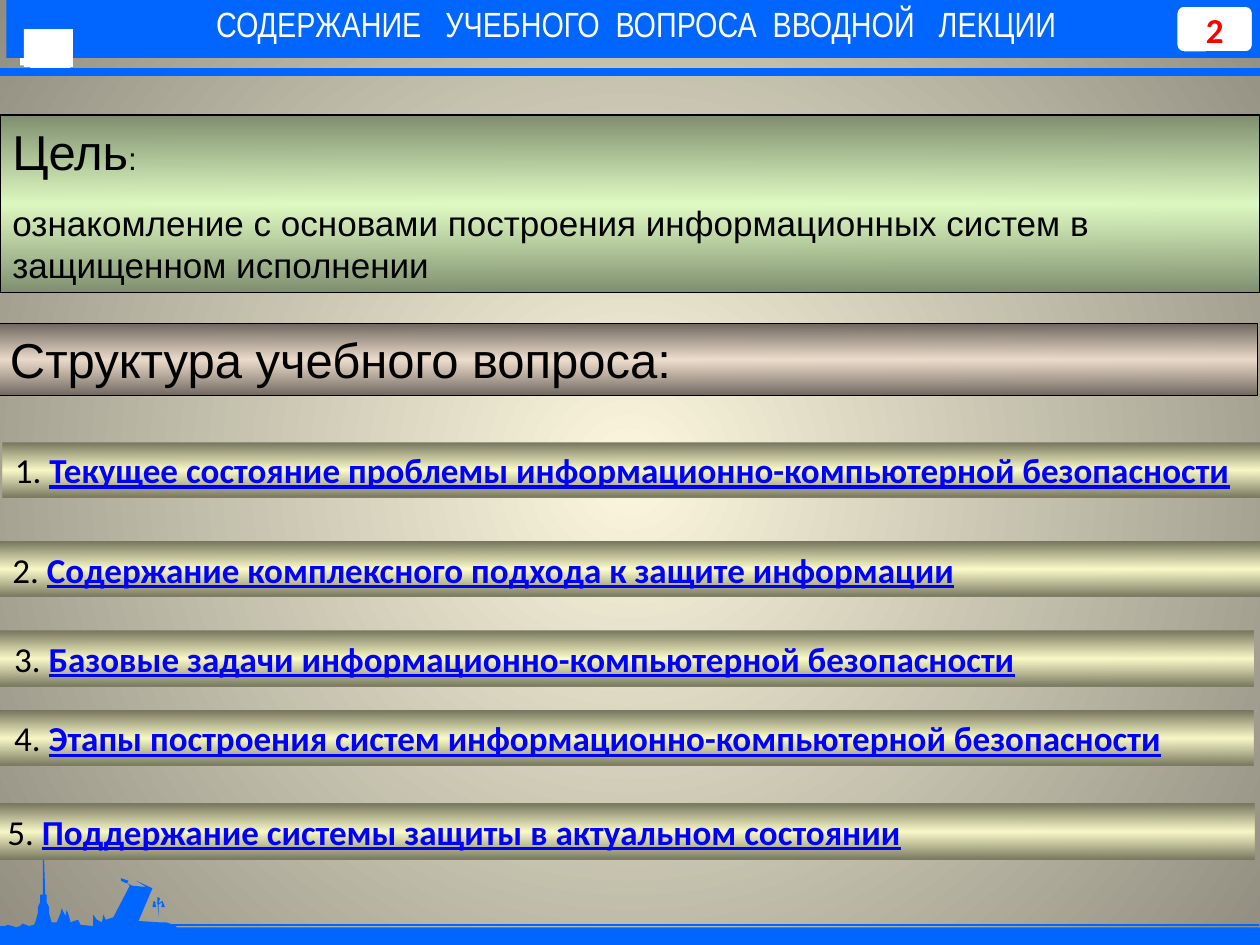
from typing import NamedTuple

from pptx import Presentation
from pptx.dml.color import RGBColor
from pptx.enum.shapes import MSO_CONNECTOR as Connector, MSO_SHAPE as Shape
from pptx.enum.text import MSO_ANCHOR as Anchor, MSO_AUTO_SIZE as AutoSize, PP_ALIGN as Align
from pptx.oxml import parse_xml
from pptx.oxml.ns import nsdecls, qn
from pptx.util import Pt

BLUE, WHITE, BLACK, RED, LINK = "0066FF", "FFFFFF", "000000", "FF0000", "0000FF"


class Area(NamedTuple):
    left: float
    top: float
    width: float
    height: float


class Span(NamedTuple):
    text: str
    size: float
    font: str = "Arial"
    color: str = BLACK
    bold: bool = False
    underline: bool = False


class Band(NamedTuple):
    edge: str
    middle: str


class Topic(NamedTuple):
    text: str
    left: float
    top: float
    inset: float = 7.2


GREEN = Band("7E8E6E", "E2FFC5")
BROWN = Band("6F675F", "EFDECD")
YELLOW = Band("76765E", "FFFFCC")

TOPICS = [
    Topic("Текущее состояние проблемы информационно-компьютерной безопасности", 1.4, 252.8),
    Topic("Содержание комплексного подхода к защите информации", 0, 309.6),
    Topic("Базовые задачи информационно-компьютерной безопасности", -3.6, 360.6, 11.7),
    Topic("Этапы построения систем информационно-компьютерной безопасности", -3.6, 406, 11.7),
    Topic("Поддержание системы защиты в актуальном состоянии", -2.9, 459.4),
]

# Skyline contours, in hundredths of an inch: shore, cross, bridge wing
SKYLINE = [
    [(0, 746), (0, 735), (4, 735), (6, 734), (10, 735), (13, 736), (16, 735), (18, 733),
     (23, 735), (27, 734), (28, 732), (30, 725), (30, 720), (32, 716), (32, 710), (34, 710),
     (34, 682), (35, 682), (36, 710), (37, 710), (37, 716), (39, 720), (39, 725), (41, 732),
     (45, 732), (48, 725), (49, 721), (52, 727), (53, 722), (55, 728), (56, 732), (62, 730),
     (64, 734), (74, 735), (74, 726), (77, 730), (81, 732), (82, 726), (84, 730), (90, 728),
     (103, 703), (101, 701), (105, 703), (116, 704), (108, 699), (121, 705), (110, 731),
     (126, 732), (132, 732), (140, 735), (140, 746)],
    [(126, 728), (125, 717), (123, 716), (124, 720), (121, 720), (122, 715), (125, 717),
     (125, 712), (127, 713), (126, 717), (129, 715), (131, 720), (128, 720), (129, 716),
     (126, 718)],
    [(100, 701), (96, 699), (96, 697), (102, 699), (101, 701)],
]


def rgb(value: str) -> RGBColor:
    return RGBColor.from_string(value)


def set_gradient(owner, fill, stops: list[tuple[int, str, int]], direction: str) -> None:
    """Give owner, the element that holds fill, a gradient of (percent, colour, opacity) stops."""
    marks = "".join(
        f'<a:gs pos="{percent * 1000}"><a:srgbClr val="{color}">'
        f'<a:alpha val="{opacity * 1000}"/></a:srgbClr></a:gs>'
        for percent, color, opacity in stops)
    fill.solid()
    owner.replace(owner.find(qn("a:solidFill")), parse_xml(
        f'<a:gradFill {nsdecls("a")} rotWithShape="1"><a:gsLst>{marks}</a:gsLst>'
        f'{direction}</a:gradFill>'))


def place(box, area: Area) -> None:
    box.left, box.top, box.width, box.height = (Pt(value) for value in area)


def paint(box, color: str) -> None:
    box.fill.solid()
    box.fill.fore_color.rgb = rgb(color)


def set_line(line, color: str, width: float) -> None:
    line.color.rgb = rgb(color)
    line.width = Pt(width)


def add_block(page, area: Area, color: str, kind=Shape.RECTANGLE):
    box = page.shapes.add_shape(kind, *(Pt(value) for value in area))
    box.shadow.inherit = False
    paint(box, color)
    box.line.fill.background()
    return box


def add_rule(page, start: float, end: float, top: float, width: float) -> None:
    rule = page.shapes.add_connector(Connector.STRAIGHT, Pt(start), Pt(top), Pt(end), Pt(top))
    set_line(rule.line, BLUE, width)
    rule.element.spPr.append(parse_xml(f'<a:effectLst {nsdecls("a")}/>'))


def write(box, paragraphs: list[list[Span]], align=Align.LEFT, anchor=Anchor.TOP) -> None:
    frame = box.text_frame
    frame.word_wrap = True
    frame.auto_size = AutoSize.NONE
    frame.vertical_anchor = anchor
    for index, spans in enumerate(paragraphs):
        para = frame.add_paragraph() if index else frame.paragraphs[0]
        para.alignment = align
        para.space_before = Pt(12 if index else 0)
        for span in spans:
            run = para.add_run()
            run.text = span.text
            run.font.size = Pt(span.size)
            run.font.name = span.font
            run.font.color.rgb = rgb(span.color)
            run.font.bold = span.bold
            run.font.underline = span.underline


def add_band(page, area: Area, band: Band, paragraphs: list[list[Span]],
             outlined: bool = False, inset: float = 7.2) -> None:
    box = add_block(page, area, band.middle)
    set_gradient(box.element.spPr, box.fill,
                 [(0, band.edge, 100), (50, band.middle, 93), (100, band.edge, 100)],
                 '<a:lin ang="5400000" scaled="1"/>')
    if outlined:
        set_line(box.line, BLACK, 0.75)
    write(box, paragraphs)
    box.text_frame.margin_left = Pt(inset)


def add_skyline(page) -> None:
    first, *others = SKYLINE
    builder = page.shapes.build_freeform(*first[0], scale=Pt(0.72))
    builder.add_line_segments(first[1:], close=True)
    for contour in others:
        builder.move_to(*contour[0])
        builder.add_line_segments(contour[1:], close=True)
    skyline = builder.convert_to_shape()
    skyline.shadow.inherit = False
    paint(skyline, BLUE)
    skyline.line.fill.background()


def main() -> None:
    deck = Presentation()
    deck.slide_width, deck.slide_height = Pt(720), Pt(540)
    page = deck.slides.add_slide(deck.slide_layouts[5])

    # Background
    fill = page.background.fill
    fill.solid()
    set_gradient(page.element.find(f".//{qn('p:bgPr')}"), fill,
                 [(0, "FCF7DD", 100), (100, "918E81", 100)],
                 '<a:path path="circle"><a:fillToRect l="50000" t="50000" r="50000" b="50000"/>'
                 '</a:path>')

    # White blocks that show below the title band
    add_block(page, Area(17.3, 24.5, 23, 18), WHITE)
    add_block(page, Area(11.5, 19.4, 23, 18), WHITE)

    # Title band, brought in front of the blocks
    title = page.shapes.title
    place(title, Area(3.6, -6.5, 720, 39.6))
    paint(title, BLUE)
    write(title, [[Span("СОДЕРЖАНИЕ   УЧЕБНОГО  ВОПРОСА  ВВОДНОЙ   ЛЕКЦИИ", 20,
                        "Arial Narrow", WHITE)]], Align.CENTER, Anchor.MIDDLE)
    title.element.getparent().append(title.element)

    # Skyline, footer and rules
    add_skyline(page)
    add_block(page, Area(0, 530, 720, 10.8), BLUE)
    add_rule(page, 720, 0, 41, 4.5)
    add_rule(page, 92.9, 719.3, 528.5, 0.75)
    add_block(page, Area(13.7, 16.6, 28, 21.6), WHITE)

    # Page number
    number = add_block(page, Area(671.8, 2.9, 44.6, 27.4), WHITE, Shape.ROUNDED_RECTANGLE)
    set_line(number.line, BLUE, 2)
    write(number, [[Span("2", 20, "Calibri", RED, bold=True)]], Align.CENTER, Anchor.MIDDLE)

    # Goal and structure heading
    add_band(page, Area(0, 65.8, 720, 101.5), GREEN, [
        [Span("Цель", 28), Span(":", 18)],
        [Span("ознакомление с основами построения информационных систем "
              "в защищенном исполнении", 20)],
    ], outlined=True)
    add_band(page, Area(-1.4, 185, 720, 41), BROWN,
             [[Span("Структура учебного вопроса:", 28)]], outlined=True)

    # Topics
    for index, topic in enumerate(TOPICS, start=1):
        add_band(page, Area(topic.left, topic.top, 720, 31.5), YELLOW, [[
            Span(f"{index}. ", 20, "Calibri"),
            Span(topic.text, 20, "Calibri", LINK, bold=True, underline=True),
        ]], inset=topic.inset)

    deck.save("out.pptx")


if __name__ == "__main__":
    main()
